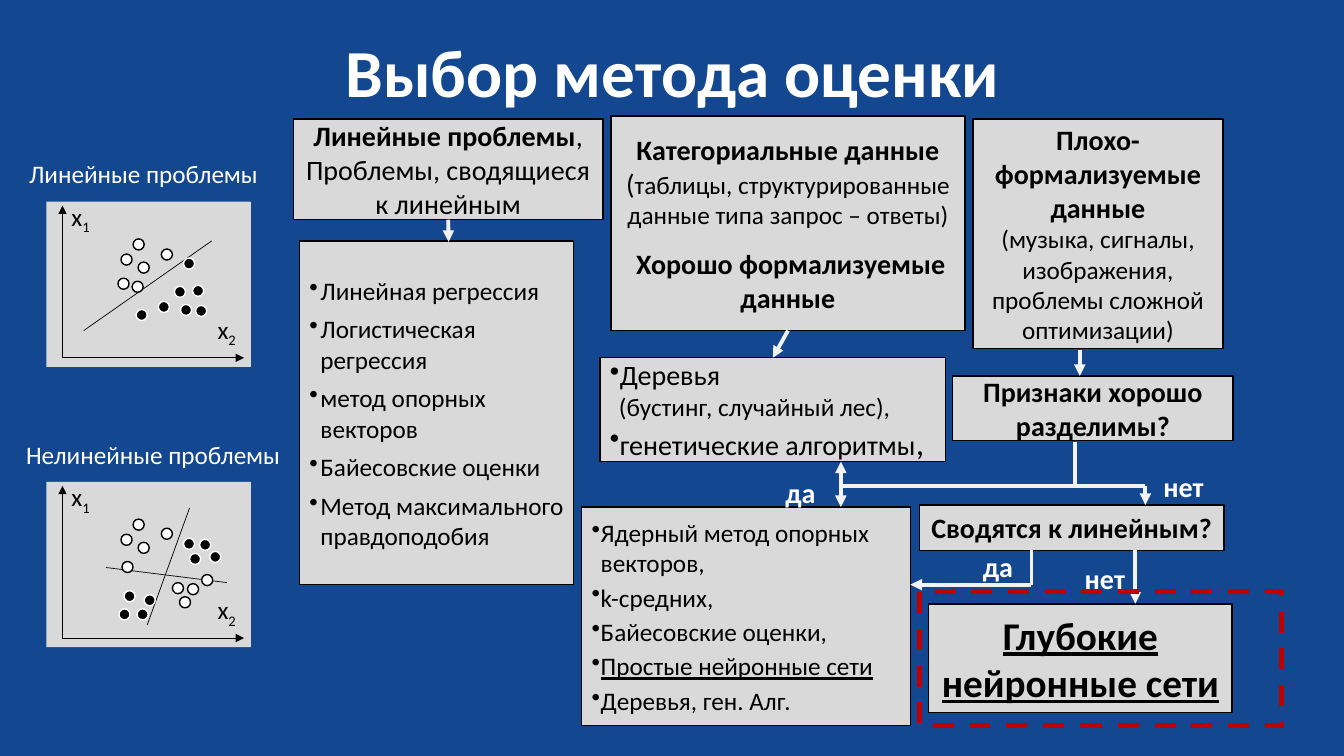
import pptx
import pptx.util
import pptx.dml.color
import pptx.enum.dml
import pptx.enum.shapes
import pptx.enum.text
import pptx.oxml
import pptx.oxml.ns
import lxml.etree

Inches, Pt = pptx.util.Inches, pptx.util.Pt
RGB = pptx.dml.color.RGBColor
SHAPE = pptx.enum.shapes.MSO_SHAPE
CENTER = pptx.enum.text.PP_ALIGN.CENTER
MIDDLE = pptx.enum.text.MSO_ANCHOR.MIDDLE
AUTO = pptx.enum.text.MSO_AUTO_SIZE
qn = pptx.oxml.ns.qn

BLUE = RGB(0x13, 0x47, 0x90)
GREY = RGB(0xD9, 0xD9, 0xD9)
ARROW = RGB(0xF2, 0xF2, 0xF2)
RED = RGB(0xC0, 0x00, 0x00)
BLACK = RGB(0, 0, 0)
WHITE = RGB(0xFF, 0xFF, 0xFF)


class Slide:
    """Current slide and its style."""
    font = "Calibri"
    dot_size = 0.11

    def __init__(self, prs):
        self.s = prs.slides.add_slide(prs.slide_layouts[5])
        self.s.background.fill.solid()
        self.s.background.fill.fore_color.rgb = BLUE

    def run(self, p, text, color=BLACK, base=None, **fmt):
        r = p.add_run()
        r.text = text
        for name, value in {"name": self.font, **fmt}.items():
            setattr(r.font, name, Pt(value) if name == "size" else value)
        r.font.color.rgb = color
        if base:
            r.font._element.set("baseline", str(base))

    def add_text(self, tf, paragraphs, bullet=0, **pfmt):
        """Each paragraph is a list of (text, format); None is a line break."""
        for i, runs in enumerate(paragraphs):
            p = tf.paragraphs[0] if i == 0 else tf.add_paragraph()
            if bullet:
                pPr = p._p.get_or_add_pPr()
                pPr.set("marL", str(Inches(bullet)))
                pPr.set("indent", str(-Inches(bullet)))
                lxml.etree.SubElement(pPr, qn("a:buChar")).set("char", "•")
            for name, value in pfmt.items():
                setattr(p, name, value)
            for item in runs:
                if item is None:
                    p.add_line_break()
                else:
                    self.run(p, item[0], **item[1])

    def title(self, text, x, y, w, h):
        sp = self.s.shapes.title
        sp.left, sp.top, sp.width, sp.height = map(Inches, (x, y, w, h))
        sp.text_frame.vertical_anchor = MIDDLE
        sp.text_frame.auto_size = AUTO.NONE
        self.add_text(sp.text_frame, [[(text, dict(size=48, bold=True, color=WHITE))]],
                      alignment=CENTER, line_spacing=0.9)

    def shape(self, x, y, w, h, kind=SHAPE.RECTANGLE, fill=GREY, line=None, width=1):
        sp = self.s.shapes.add_shape(kind, *map(Inches, (x, y, w, h)))
        sp.shadow.inherit = False
        for target, color in ((sp.fill, fill), (sp.line.fill, line)):
            if color is None:
                target.background()
            else:
                target.solid()
                target.fore_color.rgb = color
        if line is not None:
            sp.line.width = Pt(width)
        return sp

    def box(self, x, y, w, h, paragraphs, **pfmt):
        sp = self.shape(x, y, w, h, line=BLACK)
        tf = sp.text_frame
        tf.word_wrap, tf.vertical_anchor = True, MIDDLE
        self.add_text(tf, paragraphs, **{"alignment": CENTER, **pfmt})
        return sp

    def bullets(self, x, y, w, h, paragraphs, indent, after):
        return self.box(x, y, w, h, paragraphs, bullet=indent, space_after=Pt(after),
                        alignment=pptx.enum.text.PP_ALIGN.LEFT)

    def label(self, x, y, w, h, *runs):
        tf = self.s.shapes.add_textbox(*map(Inches, (x, y, w, h))).text_frame
        tf.word_wrap, tf.auto_size = False, AUTO.SHAPE_TO_FIT_TEXT
        self.add_text(tf, [runs])

    def line(self, x1, y1, x2, y2, head=False, color=ARROW, width=2.75,
             begin=None, end=None):
        c = self.s.shapes.add_connector(pptx.enum.shapes.MSO_CONNECTOR.STRAIGHT,
                                        *map(Inches, (x1, y1, x2, y2)))
        if begin is not None:
            c.begin_connect(begin, 2)
        if end is not None:
            c.end_connect(end, 0)
        c.line.color.rgb, c.line.width = color, Pt(width)
        if head:
            ln = c.line._get_or_add_ln()
            lxml.etree.SubElement(ln, qn("a:tailEnd")).set("type", "triangle")
        lxml.etree.SubElement(c._element.spPr, qn("a:effectLst"))

    def plot(self, top, dividers, black, white):
        """Scatter panel: axes, dividing lines, two classes of dots."""
        thin = dict(color=BLACK, width=0.5)
        self.shape(0.46, top, 2.03, 1.64)
        for x, y in ((0.62, top + 0.04), (2.42, top + 1.55)):
            self.line(0.62, top + 1.55, x, y, head=True, **thin)
        for ends in dividers:
            self.line(*ends, **thin)
        for dots, fill, edge in ((black, BLACK, WHITE), (white, WHITE, BLACK)):
            for x, y in dots:
                self.shape(x, y, self.dot_size, self.dot_size, SHAPE.OVAL, fill, edge)
        for x, y, index in ((0.61, top - 0.05, "1"), (2.06, top + 1.07, "2")):
            self.label(x, y, 0.4, 0.4, ("x", T18), (index, dict(size=18, base=-25000)))


T18, T20 = dict(size=18), dict(size=20)
B20 = dict(size=20, bold=True)


def main():
    prs = pptx.Presentation()
    prs.slide_width, prs.slide_height = Inches(13.33), Inches(7.5)
    s = Slide(prs)
    s.title("Выбор метода оценки", 2.17, 0.3, 9, 0.91)

    # Problem types and methods
    linear = s.box(2.91, 1.18, 3.07, 1, [
        [("Линейные проблемы", B20), (",", T20)],
        [("Проблемы, сводящиеся к линейным", T20)]])
    s.bullets(2.97, 2.39, 2.72, 3.41, [[(t, T18)] for t in (
        "Линейная регрессия", "Логистическая регрессия", "метод опорных векторов",
        "Байесовские оценки", "Метод максимального правдоподобия")], 0.11, 6)
    categories = s.box(6.06, 1.15, 3.51, 2.13, [
        [("Категориальные данные", B20), None, ("(", T20),
         ("таблицы, структурированные данные типа запрос – ответы)", T18)],
        [(" ", T18), ("Хорошо формализуемые данные", B20)]])
    categories.text_frame.paragraphs[1].space_before = Pt(12)
    trees = s.bullets(5.95, 3.55, 3.43, 1.03, [
        [("Деревья", T20), None, ("(бустинг, случайный лес),", T18)],
        [("генетические алгоритмы", T20), (",", dict(size=24))]], 0.09, 6)
    trees.text_frame.paragraphs[0].space_after = Pt(0)
    s.box(9.65, 1.18, 2.48, 2.28, [
        [("Плохо-формализуемые данные", B20)],
        [("(музыка, сигналы, изображения, проблемы сложной оптимизации)", T18)]])
    s.box(9.45, 3.73, 2.78, 0.64, [[("Признаки хорошо разделимы?", B20)]])
    s.bullets(5.77, 5.03, 3.26, 2.17, [[(t, dict(size=18, underline=u))] for t, u in (
        ("Ядерный метод опорных векторов,", False), ("k-средних,", False),
        ("Байесовские оценки,", False), ("Простые нейронные сети", True),
        ("Деревья, ген. Алг.", False))], 0.09, 3)
    s.box(9.21, 5.99, 3.01, 1.08, [
        [("Глубокие нейронные сети", dict(size=28, bold=True, underline=True))]])
    s.box(9.12, 5.01, 3.02, 0.45, [[("Сводятся к линейным?", B20)]])

    # Decision arrows
    s.line(4.45, 2.18, 4.45, 2.4, head=True, begin=linear)
    s.line(7.82, 3.28, 7.67, 3.55, head=True, begin=categories, end=trees)
    for ends in ((8.34, 4.82, 8.34, 5.03), (8.34, 4.87, 8.34, 4.58),
                 (11.36, 4.82, 11.36, 5.01), (11.26, 5.46, 11.26, 5.99),
                 (10.71, 3.47, 10.71, 3.73), (10.23, 5.8, 9.03, 5.8)):
        s.line(*ends, head=True)
    for ends in ((8.34, 4.82, 11.36, 4.82), (10.66, 4.81, 10.66, 4.39),
                 (10.23, 5.8, 10.23, 5.46)):
        s.line(*ends)
    for text, x, y, w in (("да", 7.69, 4.67, 0.5), ("нет", 11.44, 4.61, 0.6),
                          ("да", 9.65, 5.4, 0.5), ("нет", 10.66, 5.52, 0.6)):
        s.label(x, y, w, 0.44, (text, dict(B20, color=WHITE)))

    # Scatter panels
    s.plot(2, [(0.83, 3.28, 2.1, 2.39)],
           [(1.79, 3.02), (1.94, 3.03), (1.91, 2.83), (1.73, 2.84), (1.35, 3.07),
            (1.57, 2.99), (1.82, 2.56)],
           [(1.17, 2.76), (1.37, 2.6), (1.6, 2.47), (1.32, 2.37), (1.2, 2.52),
            (1.31, 2.79)])
    s.plot(4.78, [(1.46, 6.2, 1.88, 5.04), (2.25, 5.78, 1.05, 5.63)],
           [(1.36, 6.04), (2.08, 5.47), (1.98, 5.35), (1.88, 5.49), (1.18, 6.04),
            (1.23, 5.86), (1.82, 5.34), (1.43, 5.9)],
           [(1.37, 5.38), (1.6, 5.24), (1.32, 5.15), (1.2, 5.3), (1.71, 5.78),
            (1.86, 5.79), (1.78, 5.92), (1.21, 5.57), (2, 5.7)])
    for text, x, y, w in (("Линейные проблемы", 0.19, 1.52, 2.5),
                          ("Нелинейные проблемы", 0.16, 4.31, 2.75)):
        s.label(x, y, w, 0.4, (text, dict(size=18, color=WHITE)))

    # Dashed highlight
    frame = s.shape(9.12, 5.87, 3.59, 1.33, fill=None, line=RED, width=3.75)
    frame.line.dash_style = pptx.enum.dml.MSO_LINE.DASH

    prs.save("out.pptx")


if __name__ == "__main__":
    main()
